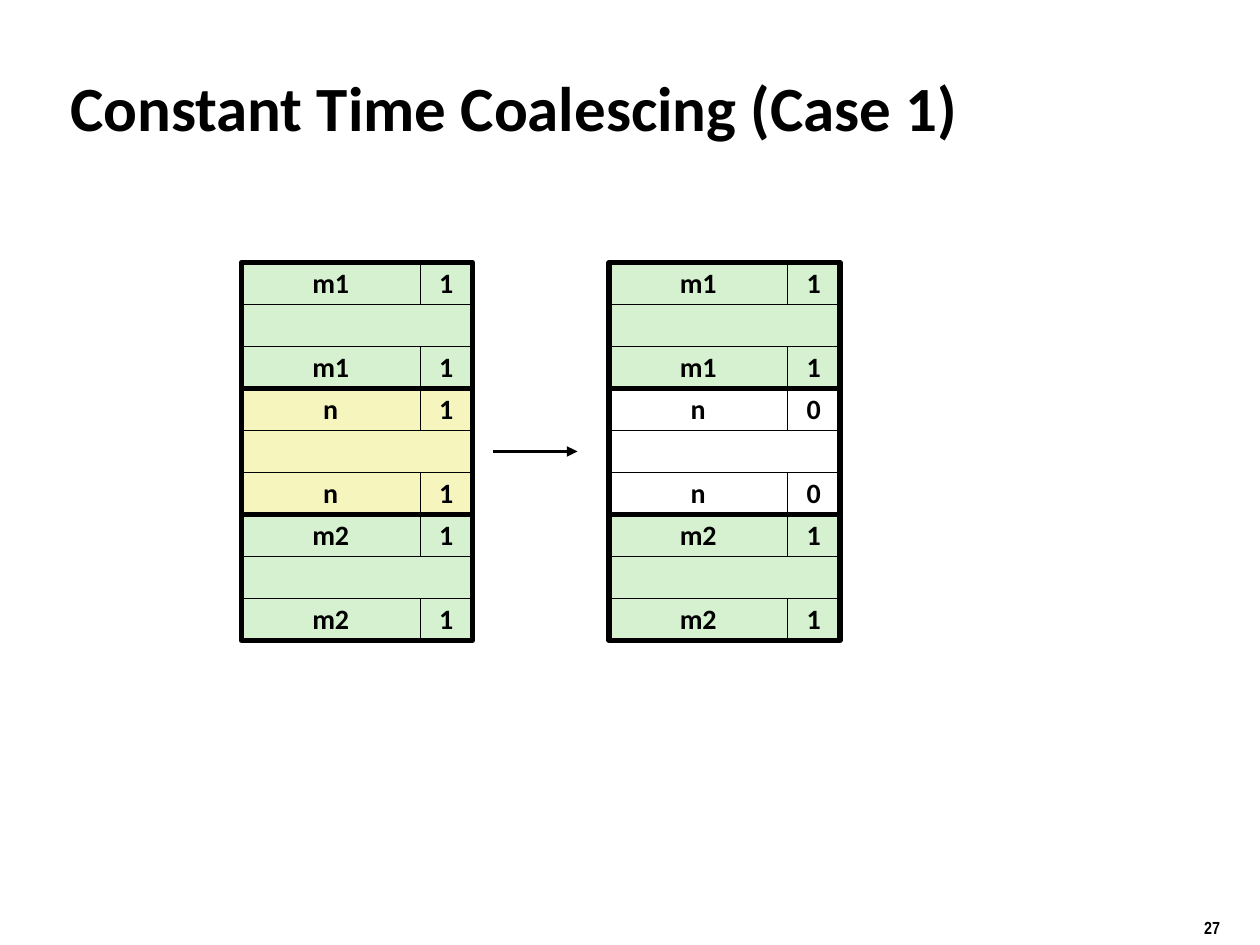
"""Builds the slide on constant time coalescing, case 1."""
from dataclasses import dataclass

from lxml import etree
from pptx import Presentation
from pptx import util as u
from pptx.dml.color import RGBColor
from pptx.enum import shapes, text
from pptx.oxml.ns import qn


@dataclass(frozen=True)
class Theme:
    ink: str = "000000"
    paper: str = "FFFFFF"
    allocated: str = "D5F1CF"
    released: str = "F6F5BD"
    font: str = "Calibri"
    number_font: str = "Arial Narrow"
    title_size: float = 36
    cell_size: float = 16
    number_size: float = 10
    thin: float = 0.25
    medium: float = 2
    thick: float = 3


class Sketch:
    COLUMNS, ROWS = 120, 90
    TAG_COLUMNS, FLAG_COLUMNS, CELL_ROWS = 17, 5, 4

    def __init__(self, deck, theme):
        self.theme = theme
        self.column = deck.slide_width / self.COLUMNS
        self.row = deck.slide_height / self.ROWS
        self.shapes = deck.slides.add_slide(deck.slide_layouts[6]).shapes

    def place(self, left, top, width, height):
        return (u.Emu(round(left * self.column)), u.Emu(round(top * self.row)),
                u.Emu(round(width * self.column)), u.Emu(round(height * self.row)))

    def letter(self, frame, words, size, font):
        frame.text = words
        frame.vertical_anchor = text.MSO_ANCHOR.MIDDLE
        for run in frame.paragraphs[0].runs:
            run.font.name, run.font.size, run.font.bold = font, u.Pt(size), True
            run.font.color.rgb = RGBColor.from_string(self.theme.ink)

    def label(self, area, words, size, font):
        frame = self.shapes.add_textbox(*self.place(*area)).text_frame
        frame.word_wrap = True
        self.letter(frame, words, size, font)

    def stroke(self, line, weight):
        line.color.rgb = RGBColor.from_string(self.theme.ink)
        line.width = u.Pt(weight)

    def box(self, area, weight, fill=None, words=""):
        box = self.shapes.add_shape(shapes.MSO_SHAPE.RECTANGLE, *self.place(*area))
        box.shadow.inherit = False
        self.stroke(box.line, weight)
        if fill:
            box.fill.solid()
            box.fill.fore_color.rgb = RGBColor.from_string(fill)
        else:
            box.fill.background()
        if words:
            self.letter(box.text_frame, words, self.theme.cell_size, self.theme.font)
            box.text_frame.word_wrap = False
            paragraph = box.text_frame.paragraphs[0]
            paragraph.alignment = text.PP_ALIGN.CENTER
            paragraph.line_spacing = 0.98

    def block(self, left, top, tag, flag, fill):
        thin, height = self.theme.thin, self.CELL_ROWS
        width = self.TAG_COLUMNS + self.FLAG_COLUMNS
        for boundary in (top, top + 2 * height):
            self.box((left, boundary, self.TAG_COLUMNS, height), thin, fill, tag)
            self.box((left + self.TAG_COLUMNS, boundary, self.FLAG_COLUMNS, height),
                     thin, fill, flag)
        self.box((left, top + height, width, height), thin, fill)
        self.box((left, top, width, 3 * height), self.theme.thick)

    def heap(self, left, top, blocks):
        for index, block in enumerate(blocks):
            self.block(left, top + index * 3 * self.CELL_ROWS, *block)

    def arrow(self, left, right, level):
        x, y, length, _ = self.place(left, level, right - left, 0)
        arrow = self.shapes.add_connector(shapes.MSO_CONNECTOR.STRAIGHT, x, y, x + length, y)
        self.stroke(arrow.line, self.theme.medium)
        properties = arrow.element.spPr
        etree.SubElement(properties.find(qn("a:ln")), qn("a:tailEnd"), type="triangle")
        etree.SubElement(properties, qn("a:effectLst"))


def main():
    deck = Presentation()
    deck.slide_width, deck.slide_height = u.Inches(10), u.Inches(7.5)
    theme = Theme()
    sketch = Sketch(deck, theme)

    sketch.label((5.5, 6.4, 109, 7.5), "Constant Time Coalescing (Case 1)",
                 theme.title_size, theme.font)

    previous = ("m1", "1", theme.allocated)
    following = ("m2", "1", theme.allocated)
    sketch.heap(23, 25, [previous, ("n", "1", theme.released), following])
    sketch.heap(58, 25, [previous, ("n", "0", theme.paper), following])
    sketch.arrow(47, 55, 43)

    sketch.label((113.5, 86.8, 6.5, 3.1), "27", theme.number_size, theme.number_font)
    deck.save("out.pptx")


if __name__ == "__main__":
    main()
